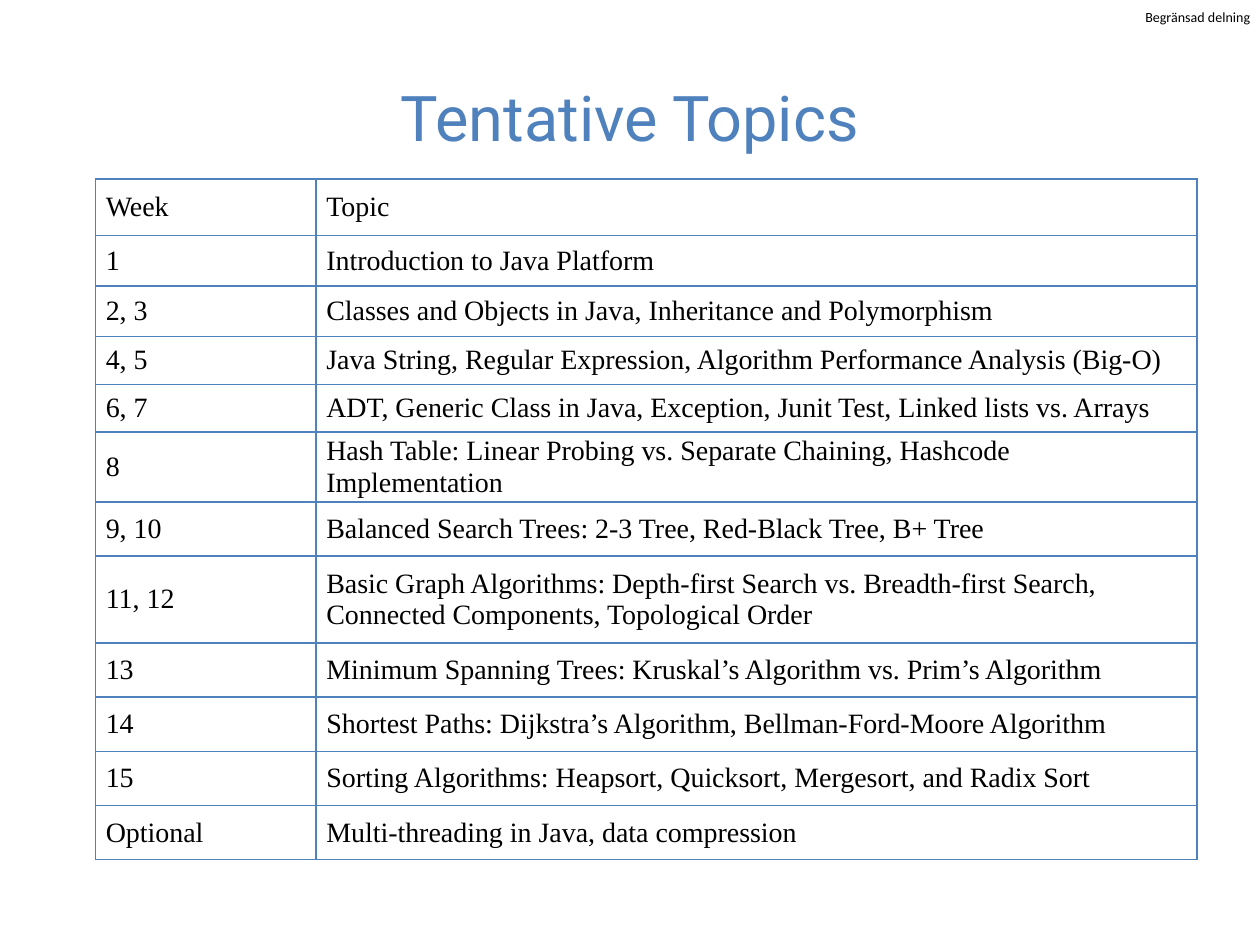
from dataclasses import dataclass

from lxml import etree
from pptx import Presentation
from pptx.dml.color import RGBColor
from pptx.enum import text
from pptx.oxml import ns
from pptx.util import Inches, Pt


@dataclass(frozen=True)
class Theme:
    accent: str = "4F81BD"
    ink: str = "000000"
    title_font: str = "Roboto"
    table_font: str = "Times New Roman"
    label_font: str = "Calibri"
    title_size: int = 36
    table_size: int = 16
    label_size: int = 8
    border: int = 1


THEME = Theme()

SCHEDULE = [
    ("Week", "Topic", 0.45),
    ("1", "Introduction to Java Platform\u00a0", 0.4),
    ("2, 3", "Classes and Objects in Java, Inheritance and Polymorphism", 0.4),
    ("4, 5", "Java String, Regular Expression, Algorithm Performance Analysis (Big-O)", 0.38),
    ("6, 7", "ADT, Generic Class in Java, Exception, Junit Test, Linked lists vs. Arrays", 0.38),
    ("8", "Hash Table: Linear Probing vs. Separate Chaining, Hashcode Implementation", 0.38),
    ("9, 10", "Balanced Search Trees: 2-3 Tree, Red-Black Tree, B+ Tree", 0.43),
    ("11, 12", "Basic Graph Algorithms: Depth-first Search vs. Breadth-first Search, "
               "Connected Components, Topological Order", 0.69),
    ("13", "Minimum Spanning Trees: Kruskal’s Algorithm vs. Prim’s Algorithm", 0.43),
    ("14", "Shortest Paths: Dijkstra’s Algorithm, Bellman-Ford-Moore Algorithm", 0.43),
    ("15", "Sorting Algorithms: Heapsort, Quicksort, Mergesort, and Radix Sort", 0.43),
    ("Optional", "Multi-threading in Java, data compression", 0.43),
]
COLUMN_WIDTHS = (1.75, 6.99)


def add_run(paragraph, wording, font, size, color):
    run = paragraph.add_run()
    run.text = wording
    run.font.name = font
    run.font.size = Pt(size)
    run.font.color.rgb = RGBColor.from_string(color)


def add_label(slide, wording):
    label = slide.shapes.add_textbox(Inches(9.09), Inches(0.07), Inches(0.86), Inches(0.13))
    frame = label.text_frame
    frame.margin_left = frame.margin_right = frame.margin_top = frame.margin_bottom = 0
    frame.word_wrap = False
    frame.auto_size = text.MSO_AUTO_SIZE.SHAPE_TO_FIT_TEXT
    add_run(frame.paragraphs[0], wording, THEME.label_font, THEME.label_size, THEME.ink)


def add_title(slide, wording):
    title = slide.shapes.add_textbox(Inches(0.5), Inches(0.3), Inches(9), Inches(1.25))
    frame = title.text_frame
    frame.word_wrap = True
    frame.vertical_anchor = text.MSO_ANCHOR.MIDDLE
    heading = frame.paragraphs[0]
    heading.alignment = text.PP_ALIGN.CENTER
    add_run(heading, wording, THEME.title_font, THEME.title_size, THEME.accent)


def set_borders(cell):
    properties = cell._tc.get_or_add_tcPr()
    for index, side in enumerate(("lnL", "lnR", "lnT", "lnB")):
        line = etree.Element(ns.qn(f"a:{side}"), w=str(Pt(THEME.border)))
        fill = etree.SubElement(line, ns.qn("a:solidFill"))
        etree.SubElement(fill, ns.qn("a:srgbClr"), val=THEME.accent)
        properties.insert(index, line)


def fill_cell(cell, wording):
    cell.fill.background()
    cell.vertical_anchor = text.MSO_ANCHOR.MIDDLE
    cell.margin_left = cell.margin_right = Inches(0.08)
    cell.margin_top = cell.margin_bottom = Inches(0.01)
    set_borders(cell)
    add_run(cell.text_frame.paragraphs[0], wording,
            THEME.table_font, THEME.table_size, THEME.ink)


def add_schedule(slide):
    height = sum(row_height for _, _, row_height in SCHEDULE)
    schedule = slide.shapes.add_table(
        len(SCHEDULE), len(COLUMN_WIDTHS), Inches(0.76), Inches(1.42),
        Inches(sum(COLUMN_WIDTHS)), Inches(height)).table
    schedule.first_row = schedule.horz_banding = False
    for column, width in zip(schedule.columns, COLUMN_WIDTHS):
        column.width = Inches(width)
    for row, (week, topic, row_height) in zip(schedule.rows, SCHEDULE):
        row.height = Inches(row_height)
        for cell, wording in zip(row.cells, (week, topic)):
            fill_cell(cell, wording)


def main():
    deck = Presentation()
    deck.slide_width, deck.slide_height = Inches(10), Inches(7.5)
    slide = deck.slides.add_slide(deck.slide_layouts[6])
    add_label(slide, "Begränsad delning")
    add_title(slide, "Tentative Topics")
    add_schedule(slide)
    deck.save("out.pptx")


if __name__ == "__main__":
    main()
